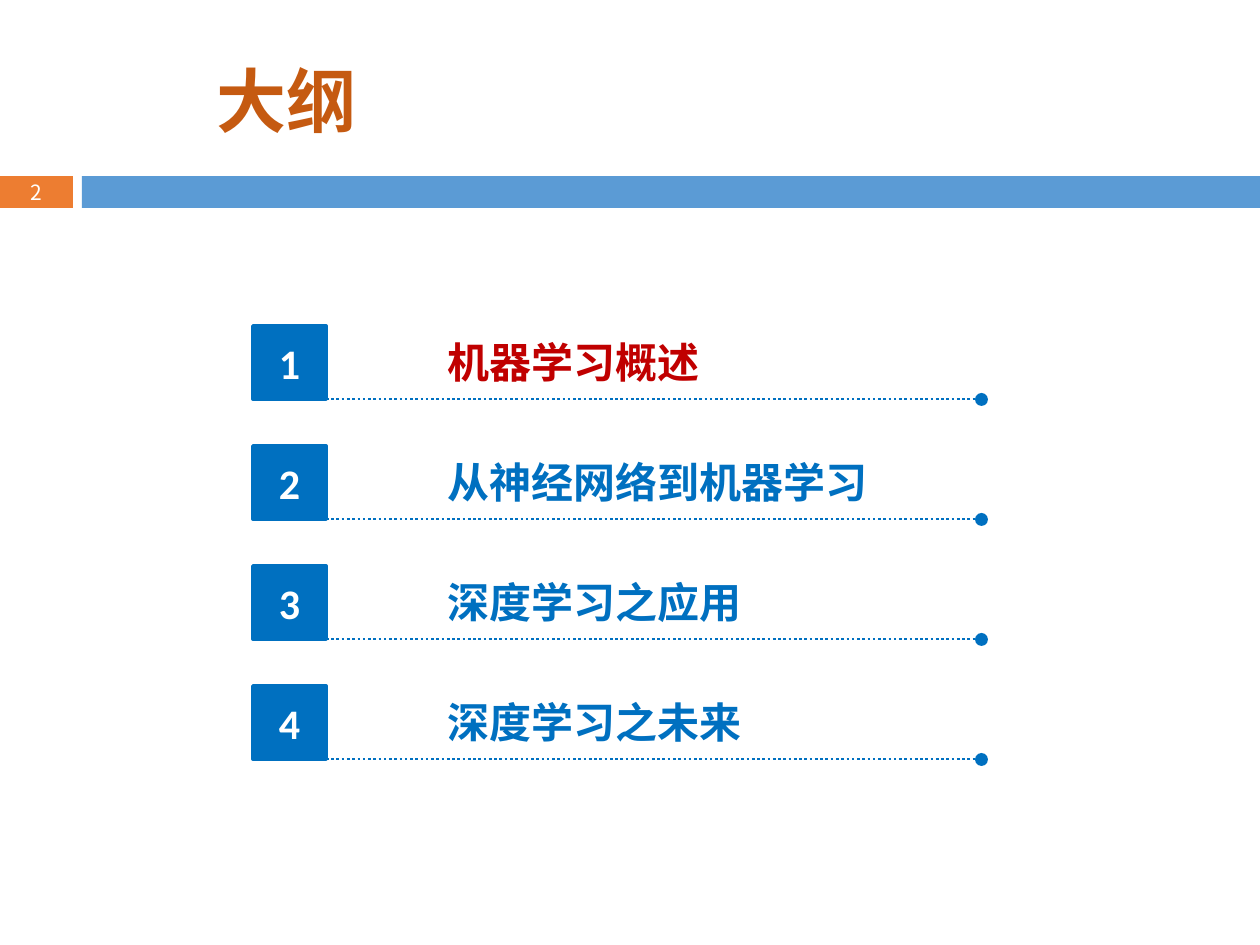
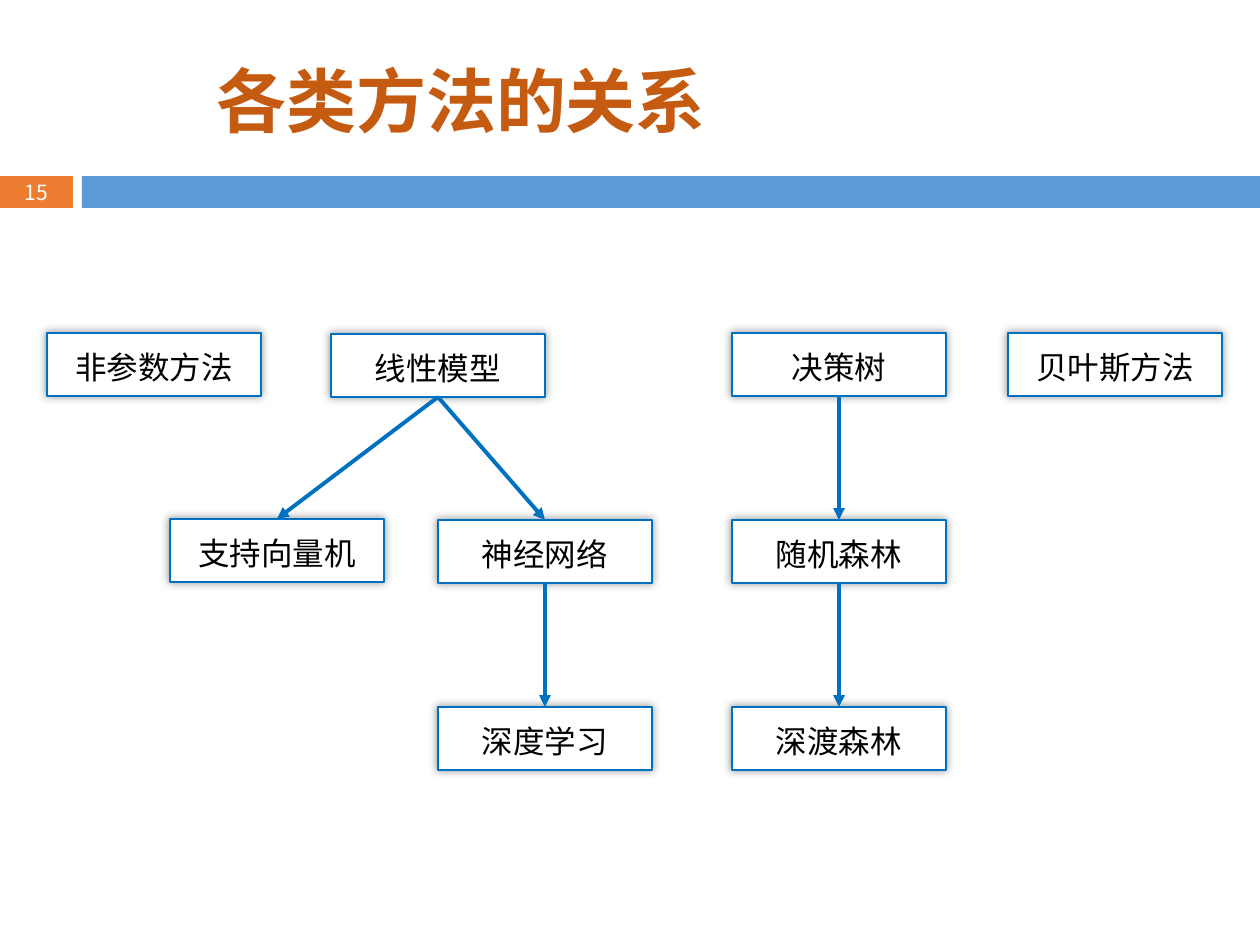
from lxml import etree
from pptx import Presentation
from pptx.dml.color import RGBColor
from pptx.enum.dml import MSO_LINE
from pptx.enum.shapes import MSO_CONNECTOR, MSO_SHAPE
from pptx.enum.text import MSO_ANCHOR, PP_ALIGN
from pptx.oxml.ns import qn
from pptx.util import Pt

RECT, OVAL = MSO_SHAPE.RECTANGLE, MSO_SHAPE.OVAL
LINE, DOTS = MSO_CONNECTOR.STRAIGHT, MSO_LINE.ROUND_DOT
LEFT, MID = PP_ALIGN.LEFT, PP_ALIGN.CENTER
CENTRE = MSO_ANCHOR.MIDDLE
TOP, BOTTOM = 0, 2

PX = 914400 / 126
BLUE, WHITE, BLACK = "0070C0", "FFFFFF", "000000"
RED, RUST, ORANGE, SKY = "C00000", "C55A11", "ED7D31", "5B9BD5"
HAN, SLIM, DIGIT = "Noto Sans CJK SC", "Arial Narrow", "Calibri"
rgb = RGBColor.from_string


def box(shapes, kind, place, text="", size=18, ink=BLACK, face=HAN, bold=False,
        align=MID, gap=None, fill=None, edge=0):
    """Add a preset shape, or a text box when kind is None; place is in px."""
    spot = [round(n * PX) for n in place]
    if kind is None:
        item = shapes.add_textbox(*spot)
    else:
        item = shapes.add_shape(kind, *spot)
        item.shadow.inherit = False
        item.fill.solid()
        item.fill.fore_color.rgb = rgb(fill)
        if edge:
            item.line.color.rgb = rgb(BLUE)
            item.line.width = Pt(edge)
        else:
            item.line.fill.background()
    if text:
        frame = item.text_frame
        frame.word_wrap = True
        frame.vertical_anchor = CENTRE
        para = frame.paragraphs[0]
        para.alignment = align
        para.line_spacing = gap
        run = para.add_run()
        run.text = text
        font = run.font
        font.size, font.bold, font.name = Pt(size), bold, face
        font.color.rgb = rgb(ink)
        etree.SubElement(run._r.get_or_add_rPr(), qn("a:ea"), typeface=HAN)
    return item


def link(shapes, ends, width):
    """Add a blue straight line without shadow; ends are x1, y1, x2, y2 in px."""
    line = shapes.add_connector(LINE, *[round(n * PX) for n in ends])
    line.line.color.rgb = rgb(BLUE)
    line.line.width = Pt(width)
    etree.SubElement(line._element.spPr, qn("a:effectLst"))
    return line


deck = Presentation()
deck.slide_width, deck.slide_height = round(1260 * PX), round(945 * PX)

# Shared title and band
pages = []
for title, number in [("大纲", "2"), ("各类方法的关系", "15")]:
    shapes = deck.slides.add_slide(deck.slide_layouts[6]).shapes
    box(shapes, RECT, (0, 176, 73, 32), number, 12, WHITE, fill=ORANGE)
    box(shapes, RECT, (82, 176, 1178, 32), fill=SKY)
    box(shapes, None, (204, 33, 1007, 143), title, 40, RUST, SLIM, True, LEFT, 0.9)
    pages.append(shapes)
outline, chart = pages

# Outline rows
topics = ["机器学习概述", "从神经网络到机器学习", "深度学习之应用", "深度学习之未来"]
for i, topic in enumerate(topics):
    y = 326 + 120 * i
    row = outline.add_group_shape().shapes
    box(row, RECT, (253, y, 73, 73), str(i + 1), 24, WHITE, DIGIT, True,
        fill=BLUE, edge=2)
    link(row, (326, y + 73, 975, y + 73), 1.5).line.dash_style = DOTS
    box(row, OVAL, (975, y + 67, 13, 13), fill=BLUE)
    box(row, None, (435, y, 537, 71), topic, 24, BLUE if i else RED,
        bold=True, align=LEFT)

# Method boxes
methods = [
    ("线性模型", 331, 334), ("神经网络", 438, 520), ("支持向量机", 170, 519),
    ("深度学习", 438, 707), ("决策树", 732, 333), ("贝叶斯方法", 1008, 333),
    ("非参数方法", 47, 333), ("随机森林", 732, 520), ("深渡森林", 732, 707),
]
nodes = {}
for name, x, y in methods:
    node = box(chart, RECT, (x, y, 214, 63), name, face=SLIM, gap=1.14,
               fill=WHITE, edge=1.5)
    glow = etree.SubElement(node._element.spPr.find(qn("a:effectLst")),
                            qn("a:outerShdw"), blurRad=str(Pt(5)), dist="0",
                            dir="0", algn="ctr", rotWithShape="0")
    tint = etree.SubElement(glow, qn("a:srgbClr"), val=BLACK)
    etree.SubElement(tint, qn("a:alpha"), val="40000")
    nodes[name] = node

# Arrows from each method to what grew out of it
pairs = [
    ("线性模型", "支持向量机"), ("线性模型", "神经网络"), ("神经网络", "深度学习"),
    ("决策树", "随机森林"), ("随机森林", "深渡森林"),
]
for start, end in pairs:
    arrow = link(chart, (0, 0, 0, 0), 2.25)
    arrow.begin_connect(nodes[start], BOTTOM)
    arrow.end_connect(nodes[end], TOP)
    etree.SubElement(arrow.line._get_or_add_ln(), qn("a:tailEnd"), type="triangle")

deck.save("out.pptx")
